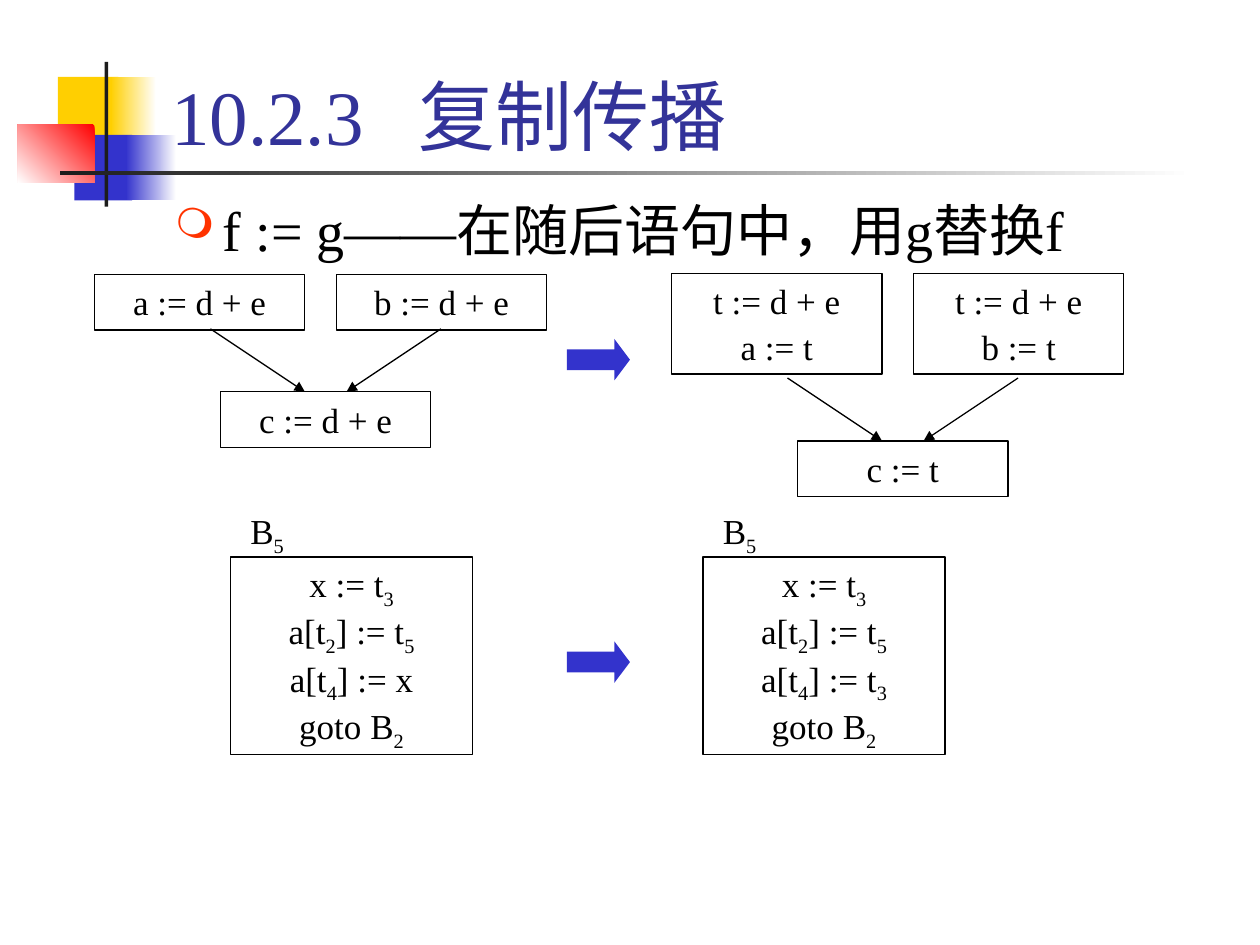
from dataclasses import dataclass

from lxml.etree import SubElement
from pptx import Presentation
from pptx.dml.color import RGBColor
from pptx.enum.shapes import MSO_CONNECTOR, MSO_SHAPE
from pptx.enum.text import MSO_ANCHOR, MSO_AUTO_SIZE, PP_ALIGN
from pptx.oxml.ns import qn
from pptx.util import Inches, Pt


@dataclass(frozen=True)
class Theme:
    font: str = "Times New Roman"
    title_size: int = 44
    body_size: int = 32
    code_size: int = 20
    line_width: float = 0.75
    black: str = "000000"
    white: str = "FFFFFF"
    title: str = "333399"
    bullet: str = "FF3300"
    yellow: str = "FFCF01"
    blue: str = "3333CC"
    red: str = "FF0000"
    bar: str = "1C1C1C"


THEME = Theme()


def rgb(value):
    return RGBColor.from_string(value)


def style(para, size, color):
    para.font.name = THEME.font
    para.font.size = Pt(size)
    para.font.color.rgb = rgb(color)


def add_block(page, kind, left, top, width, height, color):
    block = page.shapes.add_shape(
        kind, Inches(left), Inches(top), Inches(width), Inches(height))
    block.shadow.inherit = False
    block.line.fill.background()
    block.fill.solid()
    block.fill.fore_color.rgb = rgb(color)
    return block


def add_fade(page, left, top, width, height, start, end, angle=180):
    block = add_block(page, MSO_SHAPE.RECTANGLE, left, top, width, height, start)
    block.fill.gradient()
    block.fill.gradient_angle = angle
    for stop, color in zip(block.fill.gradient_stops, (start, end)):
        stop.color.rgb = rgb(color)


def add_text_box(page, left, top, width, height):
    box = page.shapes.add_textbox(
        Inches(left), Inches(top), Inches(width), Inches(height))
    box.text_frame.word_wrap = True
    return box


def add_code(para, code):
    """Write code in which an underscore lowers the next character."""
    first, *rest = code.split("_")
    pieces = [(first, False)]
    for part in rest:
        pieces += [(part[0], True), (part[1:], False)]
    for text, lowered in pieces:
        if text:
            span = para.add_run()
            span.text = text
            if lowered:
                span._r.get_or_add_rPr().set("baseline", "-25000")


def add_code_box(page, left, top, width, height, lines, spacing=None, framed=True):
    box = add_text_box(page, left, top, width, height)
    if framed:
        box.line.color.rgb = rgb(THEME.black)
        box.line.width = Pt(THEME.line_width)
    frame = box.text_frame
    frame.auto_size = MSO_AUTO_SIZE.SHAPE_TO_FIT_TEXT
    for index, code in enumerate(lines):
        para = frame.add_paragraph() if index else frame.paragraphs[0]
        para.alignment = PP_ALIGN.CENTER
        if spacing:
            para.line_spacing = spacing
        if index:
            para.space_before = Pt(2.5)
        style(para, THEME.code_size, THEME.black)
        add_code(para, code)


def add_arrow_line(page, start, end):
    line = page.shapes.add_connector(
        MSO_CONNECTOR.STRAIGHT, *(Inches(value) for value in (*start, *end)))
    line.line.color.rgb = rgb(THEME.black)
    line.line.width = Pt(THEME.line_width)
    SubElement(line.line._get_or_add_ln(), qn("a:tailEnd"), type="triangle")
    SubElement(line._element.spPr, qn("a:effectLst"))


def add_merge_lines(page, left, top):
    """Two arrows that run down towards each other."""
    bottom = top + 0.5
    add_arrow_line(page, (left, top), (left + 0.75, bottom))
    add_arrow_line(page, (left + 1.83, top), (left + 1.08, bottom))


def add_step_arrow(page, top):
    arrow = add_block(page, MSO_SHAPE.RIGHT_ARROW, 4.5, top, 0.5, 0.33, THEME.blue)
    arrow.adjustments[0] = 0.5
    arrow.adjustments[1] = 0.375


def add_decoration(page):
    square = MSO_SHAPE.RECTANGLE
    add_block(page, square, 0.46, 0.61, 0.48, 0.52, THEME.yellow)
    add_fade(page, 0.88, 0.61, 0.36, 0.52, THEME.white, THEME.yellow)
    add_block(page, square, 0.59, 1.07, 0.46, 0.52, THEME.blue)
    add_fade(page, 1, 1.07, 0.4, 0.52, THEME.white, THEME.blue)
    add_fade(page, 0.14, 0.99, 0.61, 0.46, THEME.red, THEME.white, angle=225)
    add_block(page, square, 0.83, 0.49, 0.03, 1.15, THEME.bar)
    add_fade(page, 0.48, 1.36, 9, 0.03, THEME.white, THEME.bar)


def add_title(page):
    box = add_text_box(page, 1.26, 0.08, 8.52, 1.25)
    box.text_frame.vertical_anchor = MSO_ANCHOR.BOTTOM
    para = box.text_frame.paragraphs[0]
    tabs = SubElement(para._p.get_or_add_pPr(), qn("a:tabLst"))
    SubElement(tabs, qn("a:tab"), pos=str(Inches(1.96)), algn="l")
    style(para, THEME.title_size, THEME.title)
    para.add_run().text = "10.2.3\t复制传播"


def add_body(page):
    para = add_text_box(page, 1.29, 1.5, 8.5, 0.92).text_frame.paragraphs[0]
    properties = para._p.get_or_add_pPr()
    properties.set("marL", str(Inches(0.38)))
    properties.set("indent", str(Inches(-0.38)))
    color = SubElement(properties, qn("a:buClr"))
    SubElement(color, qn("a:srgbClr"), val=THEME.bullet)
    SubElement(properties, qn("a:buSzPct"), val="75000")
    SubElement(properties, qn("a:buChar"), char="❍")
    style(para, THEME.body_size, THEME.black)
    para.add_run().text = "f := g——在随后语句中，用g替换f"


def add_flow_graphs(page):
    # Before: the expression is computed three times
    for left, top, code in ((0.75, 2.18, "a := d + e"),
                            (2.67, 2.18, "b := d + e"),
                            (1.75, 3.11, "c := d + e")):
        add_code_box(page, left, top, 1.67, 0.44, [code])
    add_merge_lines(page, 1.67, 2.61)

    # After: the result is kept in t
    for left, name in ((5.33, "a"), (7.25, "b")):
        add_code_box(page, left, 2.17, 1.67, 0.8, ["t := d + e", f"{name} := t"])
    add_code_box(page, 6.33, 3.5, 1.67, 0.44, ["c := t"])
    add_merge_lines(page, 6.25, 3)
    add_step_arrow(page, 2.69)


def add_basic_blocks(page):
    for left, source in ((1.83, "x"), (5.58, "t_3")):
        lines = ["x := t_3", "a[t_2] := t_5", f"a[t_4] := {source}", "goto B_2"]
        add_code_box(page, left, 4.42, 1.92, 1.57, lines, spacing=0.9)
        add_code_box(page, left, 4, 0.58, 0.44, ["B_5"], spacing=0.9, framed=False)
    add_step_arrow(page, 5.09)


def main():
    deck = Presentation()
    deck.slide_width, deck.slide_height = Inches(10), Inches(7.5)
    page = deck.slides.add_slide(deck.slide_layouts[6])
    add_decoration(page)
    add_title(page)
    add_body(page)
    add_flow_graphs(page)
    add_basic_blocks(page)
    deck.save("out.pptx")


if __name__ == "__main__":
    main()
